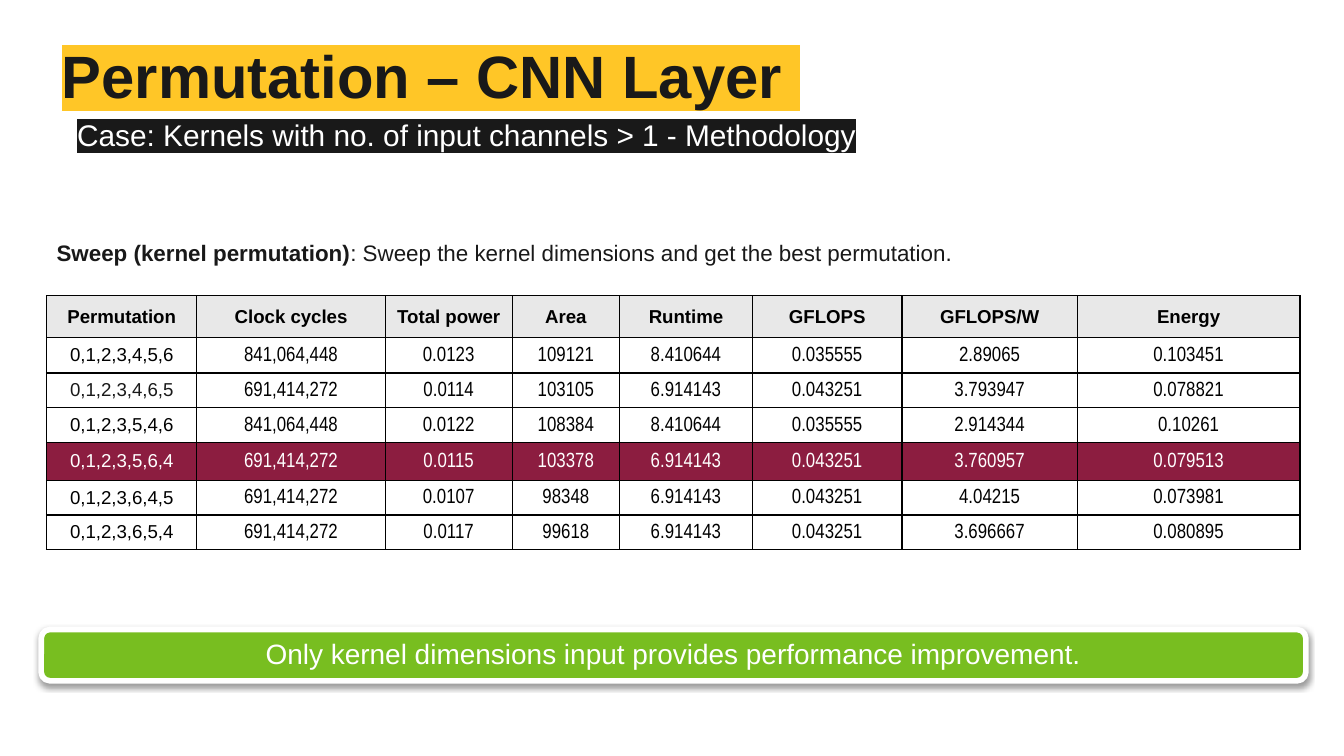
import dataclasses
import lxml.etree
import pptx
import pptx.dml.color
import pptx.enum.shapes
import pptx.enum.text
import pptx.oxml
import pptx.oxml.ns
import pptx.util

Cm = pptx.util.Cm
Pt = pptx.util.Pt
Rgb = pptx.dml.color.RGBColor.from_string
Align = pptx.enum.text.PP_ALIGN
Anchor = pptx.enum.text.MSO_ANCHOR
qn = pptx.oxml.ns.qn


@dataclasses.dataclass
class Theme:
    ink: str = "191919"
    black: str = "000000"
    white: str = "FFFFFF"
    gold: str = "FFC627"
    maroon: str = "8C1D40"
    green: str = "78BE20"
    gray: str = "E8E8E8"
    face: str = "Arial"
    slim: str = "Arial Narrow"
    title: int = 32
    case: int = 16
    claim: int = 15
    lead: int = 12
    data: int = 11
    label: int = 10


theme = Theme()


def write(para, text, size, ink, mark=None, face=theme.face, bold=False):
    run = para.add_run()
    run.text = text
    look = {"size": Pt(size), "name": face, "bold": bold}
    for key, value in look.items():
        setattr(run.font, key, value)
    run.font.color.rgb = Rgb(ink)
    if mark:
        glow = pptx.oxml.parse_xml(
            f'<a:highlight {pptx.oxml.ns.nsdecls("a")}><a:srgbClr val="{mark}"/></a:highlight>')
        run.font._element.find(qn("a:latin")).addprevious(glow)


def frame(body, inset, anchor=Anchor.TOP):
    look = {"word_wrap": True, "vertical_anchor": anchor,
            "auto_size": pptx.enum.text.MSO_AUTO_SIZE.NONE}
    for side in ("left", "top", "right", "bottom"):
        look["margin_" + side] = Cm(inset)
    for key, value in look.items():
        setattr(body, key, value)
    return body.paragraphs[0]


deck = pptx.Presentation()
deck.slide_width, deck.slide_height = Cm(25.4), Cm(14.29)
slide = deck.slides.add_slide(deck.slide_layouts[5])
shapes = slide.shapes

title = shapes.title
place = {"left": Cm(1.17), "top": Cm(0.89), "width": Cm(23.37), "height": Cm(1.27)}
for key, value in place.items():
    setattr(title, key, value)
para = frame(title.text_frame, 0)
para.alignment = Align.LEFT
para.line_spacing = 0.9
write(para, "Permutation – CNN Layer ", theme.title, theme.ink, theme.gold, bold=True)

case = shapes.add_textbox(Cm(1.18), Cm(2.1), Cm(23.29), Cm(1.57))
para = frame(case.text_frame, 0)
para.line_spacing = 1.15
for key, value in {"marL": Cm(1.27), "indent": Cm(-0.99)}.items():
    para._p.get_or_add_pPr().set(key, str(value))
write(para, "Case: Kernels with no. of input channels > 1 - Methodology",
      theme.case, theme.white, theme.ink)

heads = ["Permutation", "Clock cycles", "Total power", "Area",
         "Runtime", "GFLOPS", "GFLOPS/W", "Energy"]
slow = ("841,064,448", "8.410644", "0.035555")
fast = ("691,414,272", "6.914143", "0.043251")
sweep = [
    ("0,1,2,3,4,5,6", slow, "0.0123", "109121", "2.89065", "0.103451"),
    ("0,1,2,3,4,6,5", fast, "0.0114", "103105", "3.793947", "0.078821"),
    ("0,1,2,3,5,4,6", slow, "0.0122", "108384", "2.914344", "0.10261"),
    ("0,1,2,3,5,6,4", fast, "0.0115", "103378", "3.760957", "0.079513"),
    ("0,1,2,3,6,4,5", fast, "0.0107", "98348", "4.04215", "0.073981"),
    ("0,1,2,3,6,5,4", fast, "0.0117", "99618", "3.696667", "0.080895"),
]
rows = [heads]
for order, (clock, time, flops), power, area, ratio, joule in sweep:
    rows.append([order, clock, power, area, time, flops, ratio, joule])
wide = [2.84, 3.56, 2.4, 2.03, 2.51, 2.83, 3.31, 4.21]
tall = [0.79, 0.67, 0.66, 0.66, 0.71, 0.64, 0.64]
best = 4

table = shapes.add_table(len(rows), len(heads), Cm(0.88), Cm(5.59),
                         Cm(sum(wide)), Cm(sum(tall))).table
table.first_row = table.horz_banding = False
for col, width in zip(table.columns, wide):
    col.width = Cm(width)
for row, height in zip(table.rows, tall):
    row.height = Cm(height)

for i, row in enumerate(rows):
    for j, text in enumerate(row):
        cell = table.cell(i, j)
        wordy = i == 0 or j == 0
        inset = Cm(0.13 if wordy else 0.02)
        look = {"vertical_anchor": Anchor.MIDDLE, "margin_left": inset,
                "margin_top": inset, "margin_right": inset,
                "margin_bottom": inset if wordy else 0}
        for key, value in look.items():
            setattr(cell, key, value)
        props = cell._tc.get_or_add_tcPr()
        for side in ("lnL", "lnR", "lnT", "lnB"):
            line = lxml.etree.SubElement(props, qn("a:" + side), w=str(Pt(0.75)))
            fill = lxml.etree.SubElement(line, qn("a:solidFill"))
            lxml.etree.SubElement(fill, qn("a:srgbClr"), val=theme.black)
        if i in (0, best):
            cell.fill.solid()
            cell.fill.fore_color.rgb = Rgb(theme.maroon if i else theme.gray)
        else:
            cell.fill.background()
        ink = theme.white if i == best else theme.black
        if (i, j) == (2, 0):
            ink = theme.ink
        para = cell.text_frame.paragraphs[0]
        para.alignment = Align.CENTER
        write(para, text, theme.label if wordy else theme.data, ink,
              face=theme.face if wordy else theme.slim, bold=i == 0)

lead = shapes.add_textbox(Cm(0.82), Cm(4.27), Cm(22.17), Cm(1.02))
para = frame(lead.text_frame, 0.25)
write(para, "Sweep (kernel permutation)", theme.lead, theme.ink, bold=True)
write(para, ": Sweep the kernel dimensions and get the best permutation.",
      theme.lead, theme.ink)

group = shapes.add_group_shape()
bar = group.shapes.add_shape(pptx.enum.shapes.MSO_SHAPE.ROUNDED_RECTANGLE,
                             Cm(0.78), Cm(11.9), Cm(23.9), Cm(0.97))
bar.adjustments[0] = 0.17
bar.fill.solid()
bar.fill.fore_color.rgb = Rgb(theme.green)
bar.line.color.rgb = Rgb(theme.white)
bar.line.width = Pt(3)
bar.shadow.inherit = False
glow = bar._element.spPr.find(qn("a:effectLst"))
cast = lxml.etree.SubElement(glow, qn("a:outerShdw"), blurRad=str(Pt(3.1)),
                             dist=str(Pt(1.6)), dir="5400000", rotWithShape="0")
tone = lxml.etree.SubElement(cast, qn("a:srgbClr"), val=theme.black)
lxml.etree.SubElement(tone, qn("a:alpha"), val="38000")

claim = group.shapes.add_textbox(Cm(0.81), Cm(11.94), Cm(23.83), Cm(0.89))
para = frame(claim.text_frame, 0.15, Anchor.MIDDLE)
para.alignment = Align.CENTER
para.line_spacing = 0.9
write(para, "Only kernel dimensions input provides performance improvement.",
      theme.claim, theme.white)

deck.save("out.pptx")
